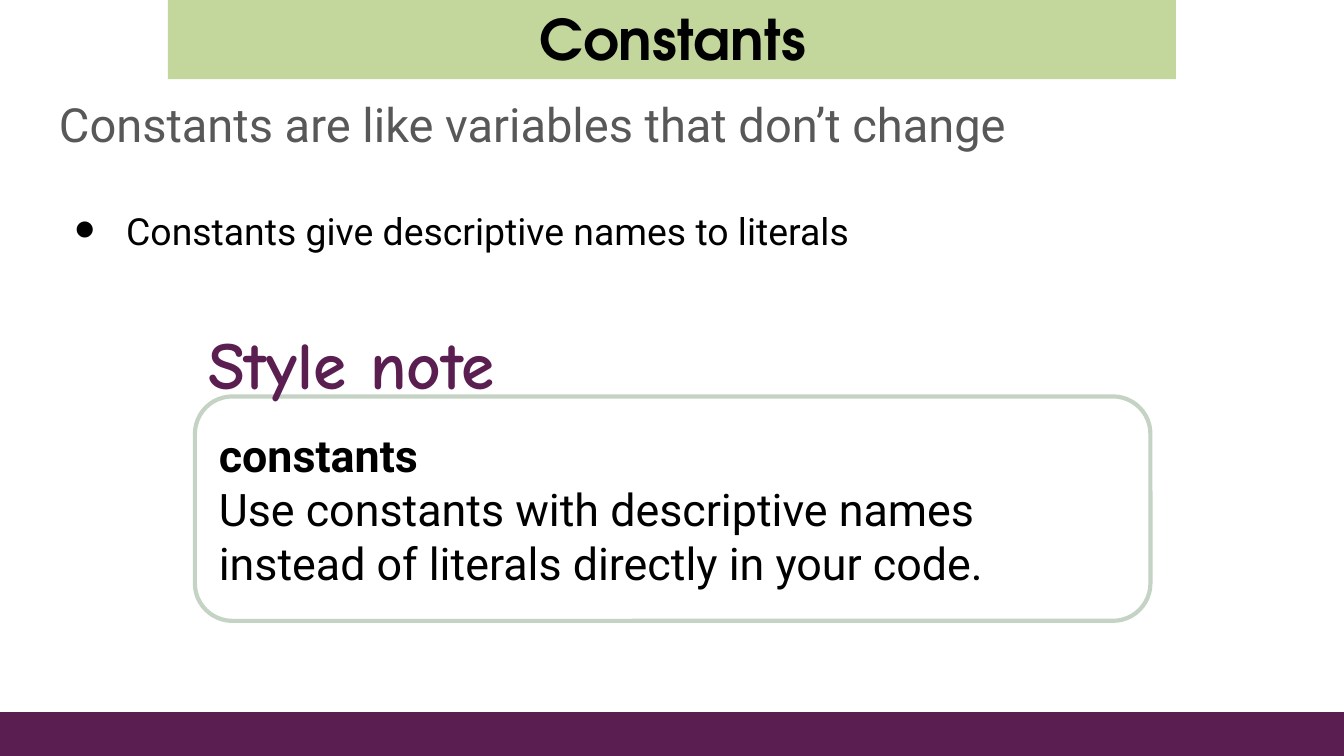
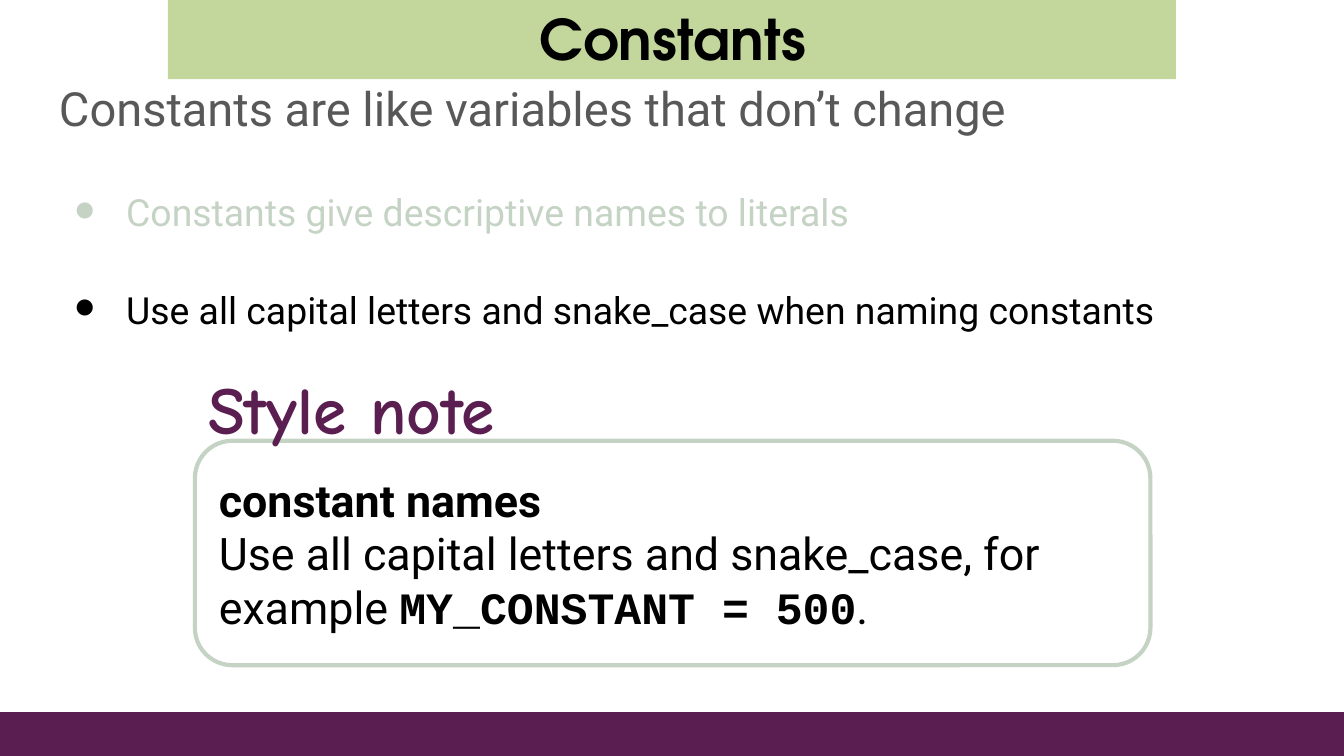
from lxml import etree
from pptx import Presentation
from pptx.dml.color import RGBColor
from pptx.enum.shapes import MSO_SHAPE as Shape
from pptx.enum.text import MSO_ANCHOR as Anchor, PP_ALIGN as Align
from pptx.oxml.ns import qn
from pptx.util import Inches, Pt

COLORS = {"purple": "5A1E50", "green": "C3D69B", "sage": "C5D3C4",
          "gray": "585858", "black": "000000"}
BODY, CODE, HAND, HEADING = "Roboto", "Courier New", "Comic Neue", "TeX Gyre Adventor"

BANNER = "Constants"
TITLE = "Constants are like variables that don’t change"
NOTE_LABEL = "Style note"
# Bullets are (text, color); note lines are lists of (text, font, bold) runs.
SLIDES = [
    {
        "title_top": 0.61, "body_top": 1.4, "note_top": 2.95,
        "bullets": [("Constants give descriptive names to literals", "black")],
        "note": [
            [("constants", BODY, True)],
            [("Use constants with descriptive names instead of literals "
              "directly in your code.", BODY, False)],
        ],
    },
    {
        "title_top": 0.49, "body_top": 1.26, "note_top": 3.28,
        "bullets": [
            ("Constants give descriptive names to literals", "sage"),
            ("Use all capital letters and snake_case when naming constants", "black"),
        ],
        "note": [
            [("constant names", BODY, True)],
            [("Use all capital letters and snake_case, for example ", BODY, False),
             ("MY_CONSTANT = 500", CODE, True), (".", BODY, False)],
        ],
    },
]


def rgb(name):
    return RGBColor.from_string(COLORS[name])


def add_block(slide, kind, box, fill=None, line=None):
    shape = slide.shapes.add_shape(kind, *map(Inches, box))
    shape.shadow.inherit = False
    if fill:
        shape.fill.solid()
        shape.fill.fore_color.rgb = rgb(fill)
    else:
        shape.fill.background()
    if line:
        shape.line.color.rgb = rgb(line)
        shape.line.width = Pt(2.25)
    else:
        shape.line.fill.background()
    return shape


def add_text(slide, box, lines, size, color="black", inset=0.1, anchor=Anchor.TOP):
    """Add a text box with one paragraph per list of (text, font, bold) runs."""
    frame = slide.shapes.add_textbox(*map(Inches, box)).text_frame
    frame.word_wrap = True
    frame.vertical_anchor = anchor
    frame.margin_left = frame.margin_right = Inches(inset)
    frame.margin_top = frame.margin_bottom = Inches(inset)
    for index, runs in enumerate(lines):
        paragraph = frame.add_paragraph() if index else frame.paragraphs[0]
        for text, font, bold in runs:
            run = paragraph.add_run()
            run.text = text
            run.font.name, run.font.size, run.font.bold = font, Pt(size), bold
            run.font.color.rgb = rgb(color)
    return frame.paragraphs


def add_bullet(paragraph, color):
    properties = paragraph._p.get_or_add_pPr()
    properties.set("marL", str(Inches(0.5)))
    properties.set("indent", str(Inches(-0.39)))
    bullet_color = etree.SubElement(properties, qn("a:buClr"))
    etree.SubElement(bullet_color, qn("a:srgbClr"), val=COLORS[color])
    etree.SubElement(properties, qn("a:buFont"), typeface=CODE)
    etree.SubElement(properties, qn("a:buChar"), char="●")


def add_bullets(slide, top, bullets):
    lines = [[(text, BODY, False)] for text, _ in bullets]
    paragraphs = add_text(slide, (0.34, top, 9.32, 3.74), lines, 20)
    for paragraph, (_, color) in zip(paragraphs, bullets):
        paragraph.line_spacing = 1.15
        paragraph.space_after = Pt(24.5)
        paragraph.runs[0].font.color.rgb = rgb(color)
        add_bullet(paragraph, color)


def add_note(slide, top, lines):
    frame = add_block(slide, Shape.ROUNDED_RECTANGLE, (1.45, top, 7.11, 1.67), line="sage")
    frame.adjustments[0] = 0.167
    add_text(slide, (1.53, top + 0.13, 6.94, 1.41), lines, 24, anchor=Anchor.MIDDLE)
    add_text(slide, (1.45, top - 0.65, 2.72, 0.8), [[(NOTE_LABEL, HAND, True)]], 36, "purple")


def add_banner(slide):
    add_block(slide, Shape.RECTANGLE, (1.25, -0.02, 7.5, 0.61), fill="green")
    paragraphs = add_text(slide, (1.29, -0.02, 7.43, 0.61), [[(BANNER, HEADING, True)]],
                          30, inset=0.04, anchor=Anchor.MIDDLE)
    paragraphs[0].alignment = Align.CENTER


def main():
    presentation = Presentation()
    presentation.slide_width = Inches(10)
    presentation.slide_height = Inches(10) * 9 // 16
    blank = presentation.slide_layouts[6]
    for content in SLIDES:
        slide = presentation.slides.add_slide(blank)
        add_block(slide, Shape.RECTANGLE, (0, 5.3, 10, 0.33), fill="purple")
        add_text(slide, (0.34, content["title_top"], 9.32, 0.63),
                 [[(TITLE, BODY, False)]], 25.2, "gray")
        add_bullets(slide, content["body_top"], content["bullets"])
        add_note(slide, content["note_top"], content["note"])
        add_banner(slide)
    presentation.save("out.pptx")


if __name__ == "__main__":
    main()
